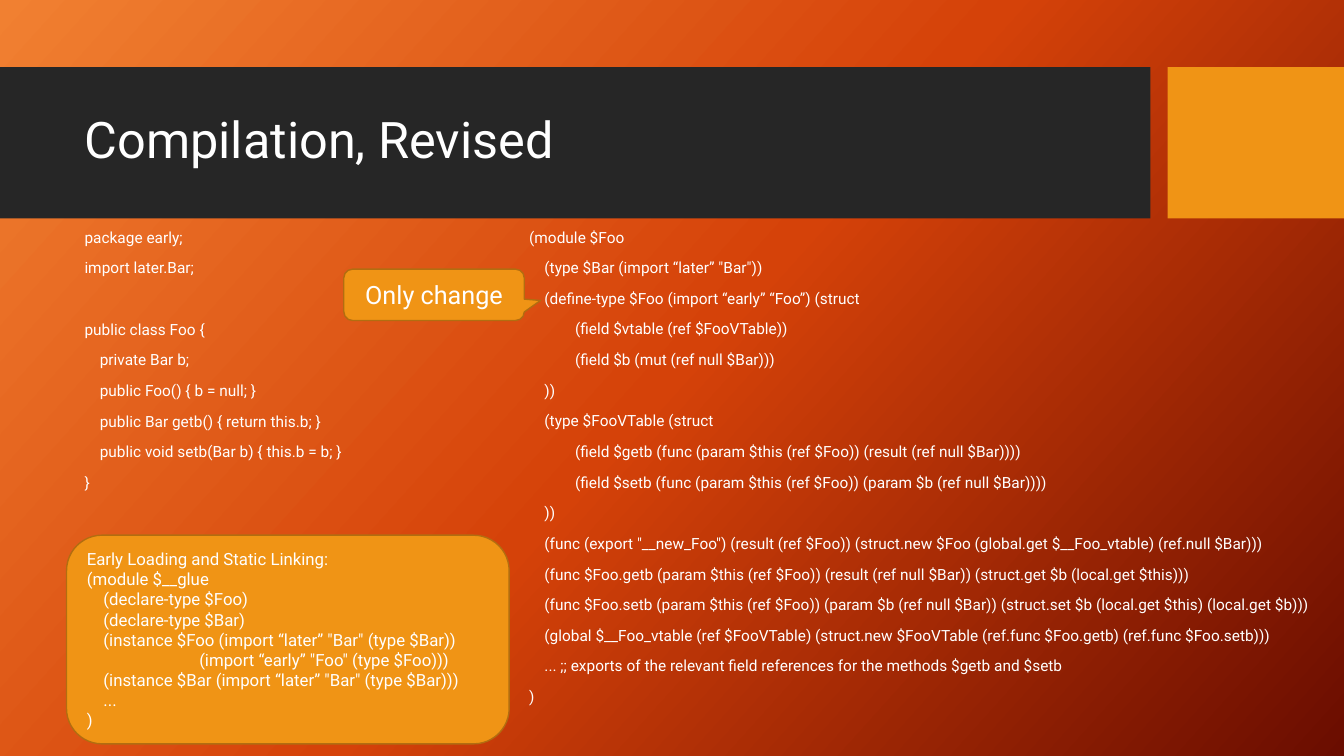
from copy import deepcopy
from dataclasses import dataclass

from pptx import Presentation
from pptx import util as u
from pptx.dml.color import RGBColor
from pptx.enum import shapes, text


@dataclass(frozen=True)
class Theme:
    font: str = "Roboto"
    white: RGBColor = RGBColor.from_string("FFFFFF")
    band: RGBColor = RGBColor.from_string("262626")
    accent: RGBColor = RGBColor.from_string("F09415")
    outline: RGBColor = RGBColor.from_string("B26D10")
    background: tuple = ("F18031", "D54209", "6A0D00")
    title_size: int = 36
    callout_size: int = 18
    glue_size: int = 12
    code_size: int = 11


theme = Theme()

JAVA_CODE = [
    "package early;",
    "import later.Bar;",
    "public class Foo {",
    "    private Bar b;",
    "    public Foo() { b = null; }",
    "    public Bar getb() { return this.b; }",
    "    public void setb(Bar b) { this.b = b; }",
    "}",
]

MODULE_CODE = [
    '(module $Foo',
    '    (type $Bar (import “later” "Bar"))',
    '    (define-type $Foo (import “early” “Foo”) (struct',
    '            (field $vtable (ref $FooVTable))',
    '            (field $b (mut (ref null $Bar)))',
    '    ))',
    '    (type $FooVTable (struct',
    '            (field $getb (func (param $this (ref $Foo)) (result (ref null $Bar))))',
    '            (field $setb (func (param $this (ref $Foo)) (param $b (ref null $Bar))))',
    '    ))',
    '    (func (export "__new_Foo") (result (ref $Foo)) (struct.new $Foo (global.get $__Foo_vtable) (ref.null $Bar)))',
    '    (func $Foo.getb (param $this (ref $Foo)) (result (ref null $Bar)) (struct.get $b (local.get $this)))',
    '    (func $Foo.setb (param $this (ref $Foo)) (param $b (ref null $Bar)) (struct.set $b (local.get $this) (local.get $b)))',
    '    (global $__Foo_vtable (ref $FooVTable) (struct.new $FooVTable (ref.func $Foo.getb) (ref.func $Foo.setb)))',
    '    ... ;; exports of the relevant field references for the methods $getb and $setb',
    ')',
]

GLUE_CODE = [
    'Early Loading and Static Linking:',
    '(module $__glue',
    '    (declare-type $Foo)',
    '    (declare-type $Bar)',
    '    (instance $Foo (import “later” "Bar" (type $Bar))',
    '                           (import “early” "Foo" (type $Foo)))',
    '    (instance $Bar (import “later” "Bar" (type $Bar)))',
    '    ...',
    ')',
]

presentation = Presentation()
presentation.slide_width = u.Inches(13.33)
presentation.slide_height = u.Inches(7.5)
slide = presentation.slides.add_slide(presentation.slide_layouts[5])


def grid(*cells):
    """Turn left, top, width and height in cells into lengths; 45 rows fill the slide."""
    return [int(presentation.slide_height / 45 * cell) for cell in cells]


def write(frame, lines, size, alignment=text.PP_ALIGN.LEFT, line_spacing=1.0, gap=0):
    """Fill a text frame, one paragraph a line, with a gap in points between them."""
    frame.word_wrap = True
    frame.auto_size = text.MSO_AUTO_SIZE.NONE
    frame.text = "\n".join(lines)
    for index, paragraph in enumerate(frame.paragraphs):
        paragraph.alignment = alignment
        paragraph.line_spacing = line_spacing
        paragraph.space_before = u.Pt(gap if index else 0)
        for run in paragraph.runs:
            run.font.name = theme.font
            run.font.size = u.Pt(size)
            run.font.color.rgb = theme.white


# Background
background = slide.background.fill
background.gradient()
background.gradient_angle = 360 - 42
stop_list = slide._element.xpath(".//a:gsLst")[0]
stop_list.append(deepcopy(stop_list[-1]))
for index, stop in enumerate(background.gradient_stops):
    stop.position = index / 2
    stop.color.rgb = RGBColor.from_string(theme.background[index])

# Title and the bands behind it
bands = [((0, 4, 68.46, 9), theme.band), ((69.48, 4, 10.5, 9), theme.accent)]
for cells, color in bands:
    band = slide.shapes.add_shape(shapes.MSO_SHAPE.RECTANGLE, *grid(*cells))
    band.shadow.inherit = False
    band.fill.solid()
    band.fill.fore_color.rgb = color
    band.line.fill.background()
    slide.shapes._spTree.insert(2, band._element)

title = slide.shapes.title
title.left, title.top, title.width, title.height = grid(4.44, 4.92, 63.06, 7.08)
title.text_frame.vertical_anchor = text.MSO_ANCHOR.MIDDLE
write(title.text_frame, ["Compilation, Revised"], theme.title_size, line_spacing=0.9)

# Code columns
columns = [((4.44, 13.38, 30.84, 23.64), JAVA_CODE), ((30.9, 13.38, 49.08, 31.62), MODULE_CODE)]
for cells, code in columns:
    column = slide.shapes.add_textbox(*grid(*cells))
    write(column.text_frame, code, theme.code_size, line_spacing=0.9, gap=10)
    if code is JAVA_CODE:
        column.text_frame.paragraphs[2].space_before = u.Pt(32)

# Callout and glue module
boxes = [
    (shapes.MSO_SHAPE.ROUNDED_RECTANGULAR_CALLOUT, (20.46, 16.02, 10.74, 3.06),
     (0.59, 0.11, 0.17), ["Only change"], theme.callout_size, text.PP_ALIGN.CENTER),
    (shapes.MSO_SHAPE.ROUNDED_RECTANGLE, (3.96, 31.86, 26.34, 12.42),
     (0.17,), GLUE_CODE, theme.glue_size, text.PP_ALIGN.LEFT),
]
for kind, cells, adjustments, lines, size, alignment in boxes:
    box = slide.shapes.add_shape(kind, *grid(*cells))
    for index, adjustment in enumerate(adjustments):
        box.adjustments[index] = adjustment
    box.shadow.inherit = False
    box.fill.solid()
    box.fill.fore_color.rgb = theme.accent
    box.line.color.rgb = theme.outline
    box.line.width = u.Pt(1)
    box.text_frame.vertical_anchor = text.MSO_ANCHOR.MIDDLE
    write(box.text_frame, lines, size, alignment)

presentation.save("out.pptx")
